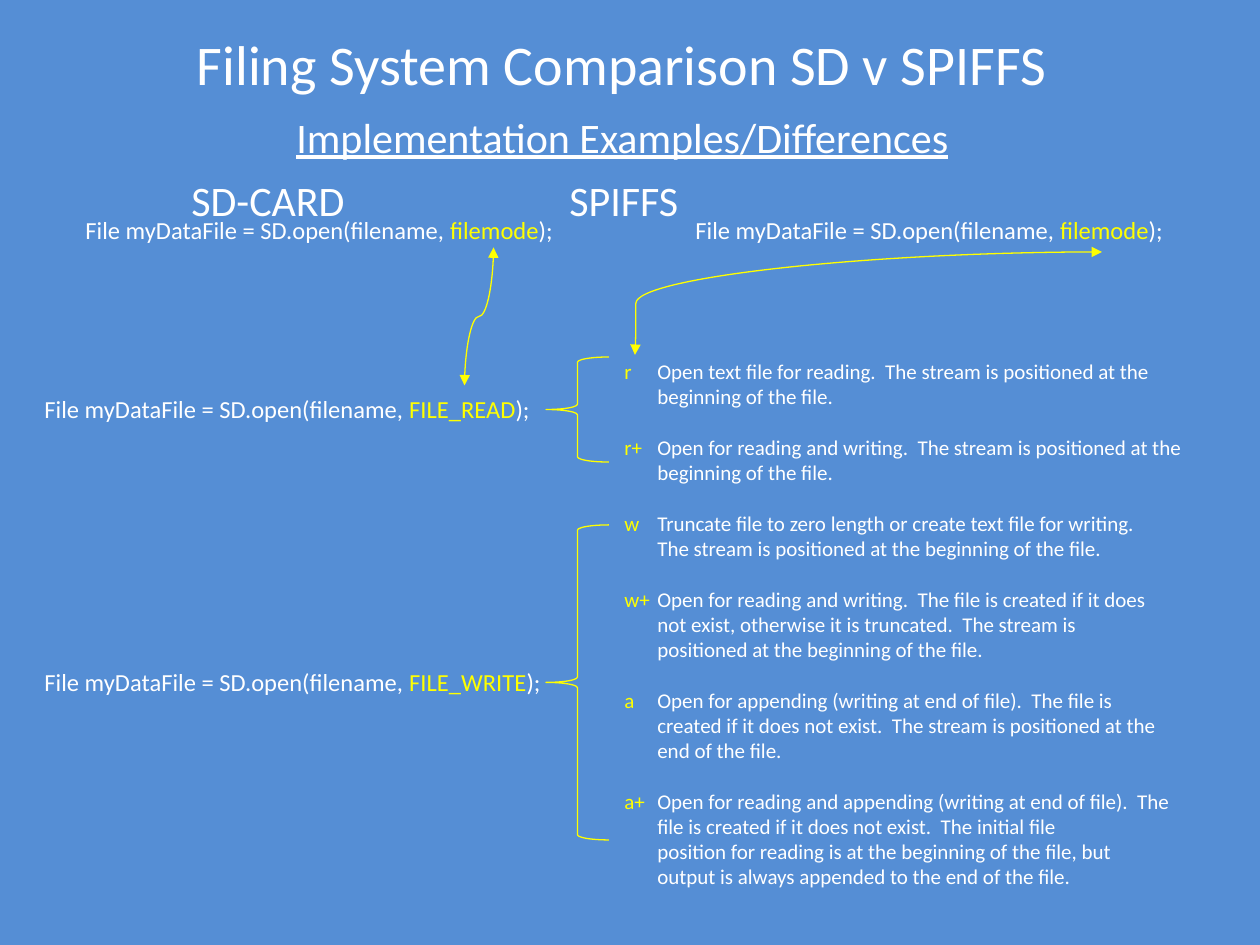
"""Build the slide comparing file modes on SD card and SPIFFS."""
from lxml.etree import SubElement as Sub
from pptx import Presentation
from pptx.dml.color import RGBColor
from pptx.enum.shapes import MSO_CONNECTOR as Conn, MSO_SHAPE as Shape
from pptx.enum.text import MSO_AUTO_SIZE as Auto, PP_ALIGN as Align
from pptx.oxml.ns import qn
from pptx.util import Pt

WHITE = RGBColor(0xFF, 0xFF, 0xFF)
YELLOW = RGBColor(0xFF, 0xFF, 0x00)
BLUE = RGBColor(0x55, 0x8E, 0xD5)
PX = 914400 // 126

TITLES = [
    ("Filing System Comparison SD v SPIFFS", (89, 23, 1066, 81),
     dict(size=32, align=Align.CENTER)),
    ("Implementation Examples/Differences", (284, 105, 703, 63),
     dict(size=24, under=True)),
    ("SD-CARD\t\t\t\tSPIFFS", (179, 168, 945, 63), dict(size=24)),
]
CALLS = [
    ("filemode", (73, 209, 678, 43)),
    ("filemode", (683, 209, 509, 43)),
    ("FILE_READ", (32, 388, 678, 43)),
    ("FILE_WRITE", (32, 661, 678, 43)),
]
MODES = [
    ("r", "Open text file for reading.  The stream is positioned at the\n"
          "beginning of the file."),
    ("r+", "Open for reading and writing.  The stream is positioned at the\n"
           "beginning of the file."),
    ("w", "Truncate file to zero length or create text file for writing.\n"
          "The stream is positioned at the beginning of the file."),
    ("w+", "Open for reading and writing.  The file is created if it does\n"
           "not exist, otherwise it is truncated.  The stream is\n"
           "positioned at the beginning of the file."),
    ("a", "Open for appending (writing at end of file).  The file is\n"
          "created if it does not exist.  The stream is positioned at the\n"
          "end of the file."),
    ("a+", "Open for reading and appending (writing at end of file).  The\n"
           "file is created if it does not exist.  The initial file\n"
           "position for reading is at the beginning of the file, but\n"
           "output is always appended to the end of the file."),
]
MODE_BOX = (598, 352, 630, 572)
BRACES = [(546, 357, 63, 105), (546, 525, 63, 315)]
ARROWS = [
    ((635, 355, 1102, 252), 0, 200),
    ((548, 331, 410, 302), 90, 50000),
]

deck = Presentation()
deck.slide_width, deck.slide_height = 1260 * PX, 945 * PX
slide = deck.slides.add_slide(deck.slide_layouts[6])
slide.background.fill.solid()
slide.background.fill.fore_color.rgb = BLUE
shapes = slide.shapes


def scale(box):
    return [n * PX for n in box]


def write(paras, box, size=14, align=Align.LEFT, under=None, gap=0, hang=None):
    frame = shapes.add_textbox(*scale(box)).text_frame
    frame.word_wrap = True
    frame.auto_size = Auto.SHAPE_TO_FIT_TEXT
    for i, runs in enumerate(paras):
        para = frame.add_paragraph() if i else frame.paragraphs[0]
        para.alignment = align
        if i and gap:
            para.space_before = Pt(gap)
        if hang:
            props = para._p.get_or_add_pPr()
            props.set("marL", str(hang[0] * PX))
            props.set("indent", str(-hang[1] * PX))
        for text, color in runs:
            for j, line in enumerate(text.split("\n")):
                if j:
                    para.add_line_break()
                run = para.add_run()
                run.text = line
                font = run.font
                font.name, font.size, font.underline = "Calibri", Pt(size), under
                font.color.rgb = color


def stroke(item):
    item.line.color.rgb = YELLOW
    item.line.width = Pt(0.75)


for text, box, form in TITLES:
    write([[(text, WHITE)]], box, **form)
for mode, box in CALLS:
    write([[("File myDataFile = SD.open(filename, ", WHITE),
            (mode, YELLOW), (");", WHITE)]], box)
write([[(key, YELLOW), ("\t" + text, WHITE)] for key, text in MODES],
      MODE_BOX, size=12, gap=14.6, hang=(47, 33))

for box in BRACES:
    brace = shapes.add_shape(Shape.LEFT_BRACE, *scale(box))
    brace.shadow.inherit = False
    brace.fill.background()
    stroke(brace)

for ends, turn, bend in ARROWS:
    arrow = shapes.add_connector(Conn.CURVE, *scale(ends))
    stroke(arrow)
    props = arrow._element.spPr
    if turn:
        props.find(qn("a:xfrm")).set("rot", str(turn * 60000))
    guides = props.find(qn("a:prstGeom")).get_or_add_avLst()
    Sub(guides, qn("a:gd"), name="adj1", fmla=f"val {bend}")
    for end in ("a:headEnd", "a:tailEnd"):
        Sub(arrow.line._get_or_add_ln(), qn(end), type="triangle")
    Sub(props, qn("a:effectLst"))

deck.save("out.pptx")
